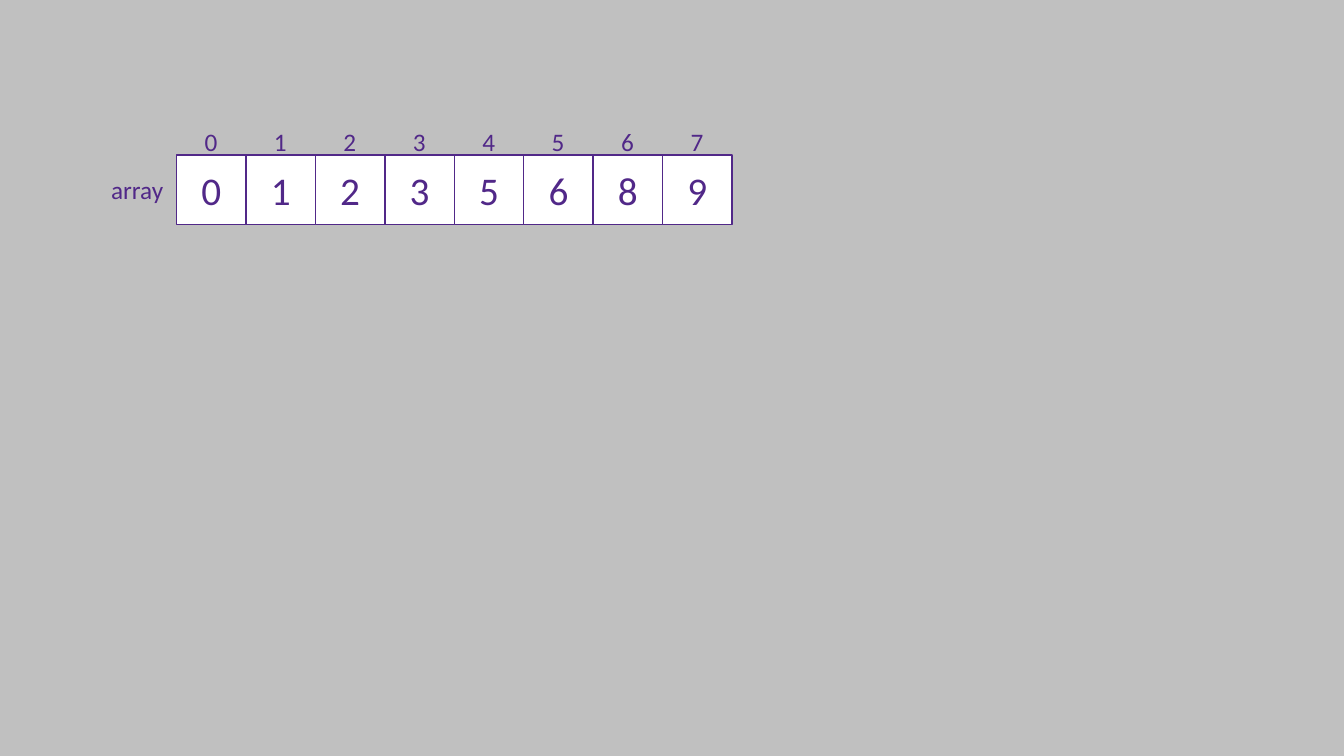
from dataclasses import dataclass

from pptx import Presentation
from pptx import util as u
from pptx.dml.color import RGBColor
from pptx.enum import shapes, text


@dataclass(frozen=True)
class Theme:
    background: RGBColor = RGBColor(0xC0, 0xC0, 0xC0)
    cell: RGBColor = RGBColor(0xFF, 0xFF, 0xFF)
    ink: RGBColor = RGBColor(0x51, 0x28, 0x88)
    font: str = "Calibri"
    value_size: int = 28
    label_size: int = 18
    line_width: int = 1


THEME = Theme()
VALUES = (0, 1, 2, 3, 5, 6, 8, 9)
LABEL_HEIGHT = 1.02
INDEX_WIDTH = 0.84


def add_run(paragraph, words, size):
    run = paragraph.add_run()
    run.text = words
    run.font.name = THEME.font
    run.font.size = u.Pt(size)
    run.font.color.rgb = THEME.ink


def add_cell(parent, left, top, side, value):
    cell = parent.shapes.add_shape(
        shapes.MSO_SHAPE.RECTANGLE, u.Cm(left), u.Cm(top), u.Cm(side), u.Cm(side))
    cell.shadow.inherit = False
    cell.fill.solid()
    cell.fill.fore_color.rgb = THEME.cell
    cell.line.color.rgb = THEME.ink
    cell.line.width = u.Pt(THEME.line_width)
    frame = cell.text_frame
    frame.vertical_anchor = text.MSO_ANCHOR.MIDDLE
    paragraph = frame.paragraphs[0]
    paragraph.alignment = text.PP_ALIGN.CENTER
    add_run(paragraph, str(value), THEME.value_size)


def add_label(parent, left, top, width, words):
    label = parent.shapes.add_textbox(
        u.Cm(left), u.Cm(top), u.Cm(width), u.Cm(LABEL_HEIGHT))
    frame = label.text_frame
    frame.word_wrap = False
    frame.auto_size = text.MSO_AUTO_SIZE.SHAPE_TO_FIT_TEXT
    add_run(frame.paragraphs[0], words, THEME.label_size)


def add_array(slide, left, top, side, name, values):
    """Draw a named row of square cells whose first corner is at left, top."""
    group = slide.shapes.add_group_shape()

    # Value cells
    for index, value in enumerate(values):
        add_cell(group, left + index * side, top, side, value)

    # Array name, level with the middle of the cells
    add_label(group, left - 1.9, top + (side - LABEL_HEIGHT) / 2, 1.83, name)

    # Indices, centred above the cells
    for index in range(len(values)):
        index_left = left + index * side + (side - INDEX_WIDTH) / 2
        add_label(group, index_left, top - 0.86, INDEX_WIDTH, str(index))


def main():
    presentation = Presentation()
    presentation.slide_width = u.Cm(33.87)
    presentation.slide_height = u.Cm(19.05)
    slide = presentation.slides.add_slide(presentation.slide_layouts[6])
    slide.background.fill.solid()
    slide.background.fill.fore_color.rgb = THEME.background
    add_array(slide, left=4.45, top=3.91, side=1.75, name="array", values=VALUES)
    presentation.save("out.pptx")


if __name__ == "__main__":
    main()
